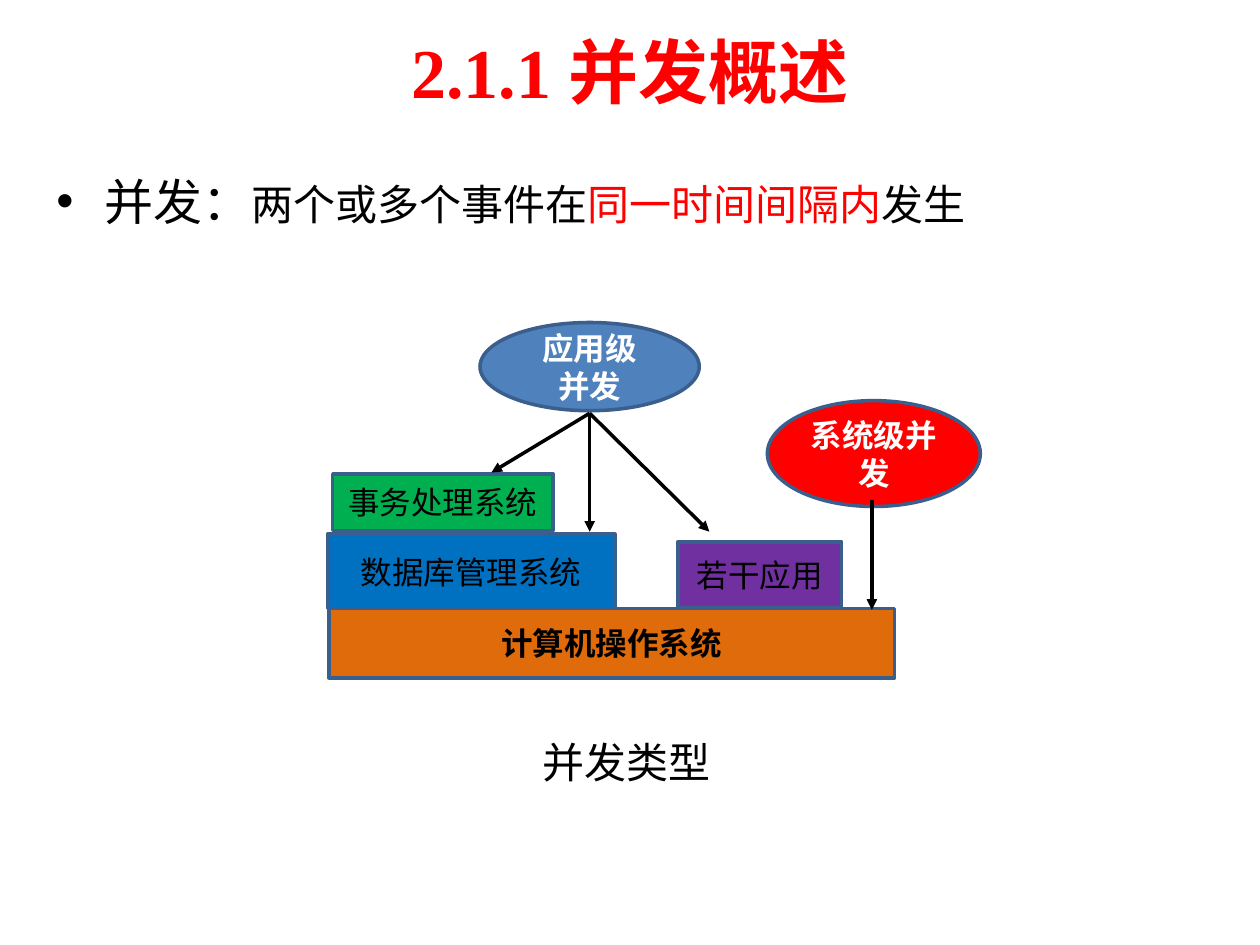
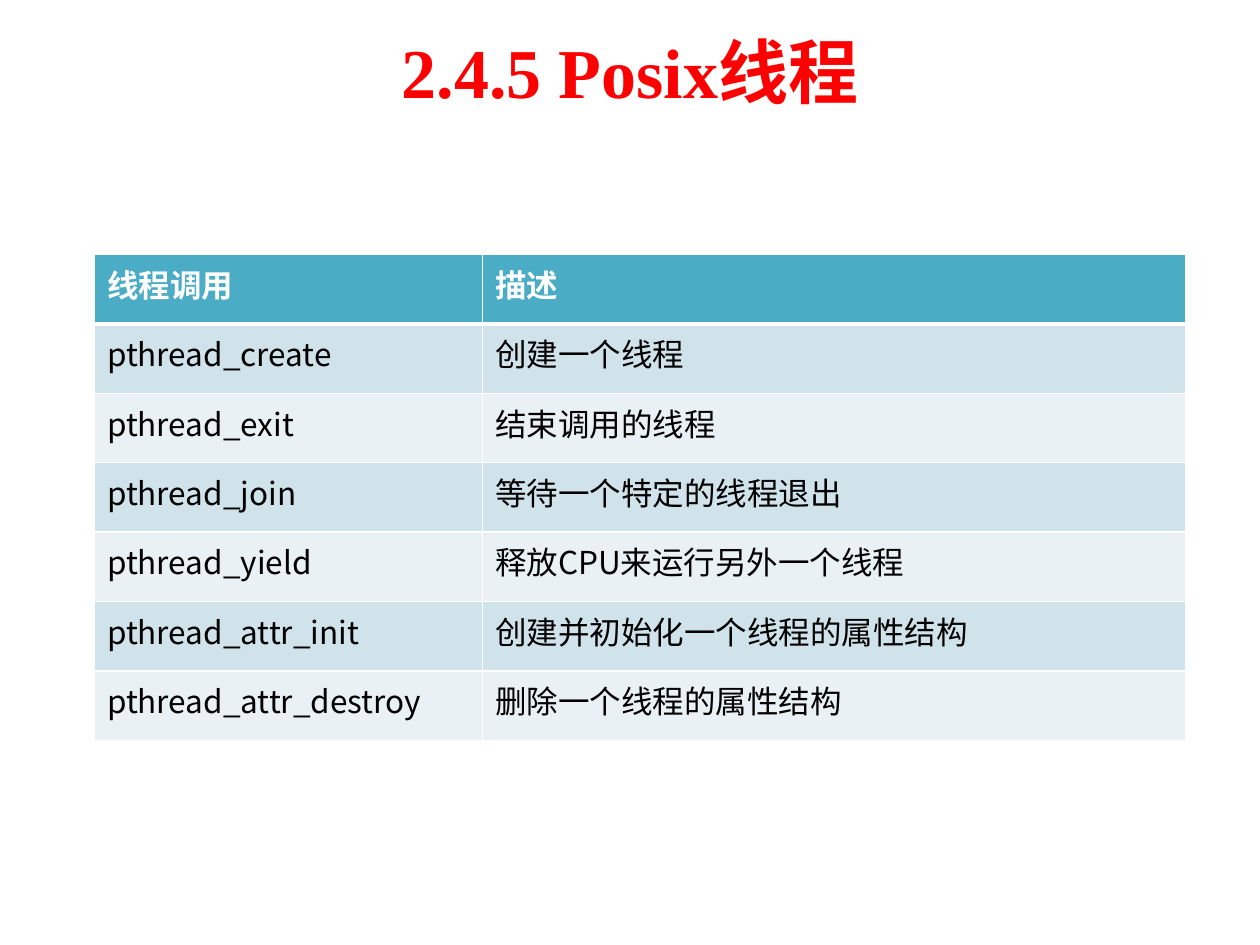
from dataclasses import dataclass

from lxml import etree
from pptx import Presentation
from pptx.dml.color import RGBColor
from pptx.enum.shapes import MSO_CONNECTOR, MSO_SHAPE
from pptx.enum.text import MSO_ANCHOR, PP_ALIGN
from pptx.oxml.ns import qn
from pptx.util import Inches, Pt

STRAIGHT = MSO_CONNECTOR.STRAIGHT
RECTANGLE, ELLIPSE = MSO_SHAPE.RECTANGLE, MSO_SHAPE.OVAL
LEFT, CENTER = PP_ALIGN.LEFT, PP_ALIGN.CENTER
TOP, MIDDLE = MSO_ANCHOR.TOP, MSO_ANCHOR.MIDDLE
COLUMNS, ROWS = 100, 75
BLANK_LAYOUT = 6


@dataclass(frozen=True)
class Theme:
    """Colours, fonts and type sizes shared by the slides."""
    black: str = "000000"
    white: str = "FFFFFF"
    title_red: str = "FF0000"
    accent_red: str = "FE0000"
    outline: str = "3A5F8C"
    green: str = "00B050"
    blue: str = "0070C0"
    purple: str = "7030A0"
    orange: str = "E06B0A"
    steel: str = "4F81BD"
    header: str = "4BACC6"
    bands: tuple = ("D0E3EA", "E9F1F5")
    serif: str = "Times New Roman"
    sans: str = "Noto Sans CJK SC"
    label: str = "Calibri"
    caption: str = "Arial"
    title_size: int = 40
    lead_size: int = 28
    body_size: int = 24
    label_size: int = 18
    line_width: int = 2


def add_text(paragraph, text, *, size, font, color, bold=False):
    """Append one formatted run to a paragraph."""
    run = paragraph.add_run()
    run.text = text
    run.font.size = Pt(size)
    run.font.bold = bold
    run.font.color.rgb = RGBColor.from_string(color)
    run.font.name = font
    east_asian = etree.SubElement(run.font._element, qn("a:ea"))
    east_asian.set("typeface", Theme.sans)


class Deck:
    """Draws styled elements on the current slide."""

    def __init__(self, theme):
        """Start an empty presentation."""
        self.theme = theme
        self.presentation = Presentation()
        self.presentation.slide_width = Inches(10)
        self.presentation.slide_height = Inches(7.5)
        self.column = self.presentation.slide_width / COLUMNS
        self.row = self.presentation.slide_height / ROWS

    def place(self, *values):
        """Turn alternating columns and rows into lengths."""
        units = (self.column, self.row)
        return [round(value * units[index % 2]) for index, value in enumerate(values)]

    def start_slide(self, title):
        """Open a blank slide with its title."""
        layout = self.presentation.slide_layouts[BLANK_LAYOUT]
        self.slide = self.presentation.slides.add_slide(layout)
        self.shapes = self.slide.shapes
        theme = self.theme
        self.text_box((5, 0.5, 90, 10.2), [(title, {
            "size": theme.title_size, "font": theme.serif,
            "color": theme.title_red, "bold": True})], CENTER, MIDDLE)

    def start_group(self):
        """Send the next elements into a new group."""
        self.shapes = self.slide.shapes.add_group_shape().shapes

    def end_group(self):
        """Send the next elements straight to the slide."""
        self.shapes = self.slide.shapes

    def text_box(self, box, runs, alignment=LEFT, anchor=TOP):
        """Add a wrapped one-paragraph text box and return the paragraph."""
        frame = self.shapes.add_textbox(*self.place(*box)).text_frame
        frame.word_wrap = True
        frame.vertical_anchor = anchor
        paragraph = frame.paragraphs[0]
        paragraph.alignment = alignment
        for text, style in runs:
            add_text(paragraph, text, **style)
        return paragraph

    def bullet(self, box, runs):
        """Add a text box with one bulleted paragraph."""
        properties = self.text_box(box, runs)._p.get_or_add_pPr()
        indent = Inches(0.38)
        properties.set("marL", str(indent))
        properties.set("indent", str(-indent))
        etree.SubElement(properties, qn("a:buFont")).set("typeface", self.theme.caption)
        etree.SubElement(properties, qn("a:buChar")).set("char", "•")

    def block(self, kind, box, lines, fill, **style):
        """Add an outlined shape with centred lines of text."""
        theme = self.theme
        shape = self.shapes.add_shape(kind, *self.place(*box))
        shape.shadow.inherit = False
        shape.fill.solid()
        shape.fill.fore_color.rgb = RGBColor.from_string(fill)
        shape.line.color.rgb = RGBColor.from_string(theme.outline)
        shape.line.width = Pt(theme.line_width)
        frame = shape.text_frame
        frame.word_wrap = True
        frame.vertical_anchor = MIDDLE
        frame.margin_left = frame.margin_right = Inches(0.05)
        for index, line in enumerate(lines):
            paragraph = frame.add_paragraph() if index else frame.paragraphs[0]
            paragraph.alignment = CENTER
            add_text(paragraph, line, size=theme.label_size, **style)

    def arrow(self, start, end):
        """Add a straight arrow between two grid points."""
        connector = self.shapes.add_connector(STRAIGHT, *self.place(*start, *end))
        connector.line.color.rgb = RGBColor.from_string(self.theme.black)
        connector.line.width = Pt(self.theme.line_width)
        line = connector.line._get_or_add_ln()
        etree.SubElement(line, qn("a:tailEnd")).set("type", "triangle")
        etree.SubElement(connector._element.spPr, qn("a:effectLst"))

    def border(self, cell, side, width):
        """Draw one white side of a table cell."""
        line = etree.SubElement(cell._tc.get_or_add_tcPr(), qn(f"a:ln{side}"))
        line.set("w", str(Pt(width)))
        fill = etree.SubElement(line, qn("a:solidFill"))
        etree.SubElement(fill, qn("a:srgbClr")).set("val", self.theme.white)

    def table(self, corner, widths, row_height, records):
        """Add a banded table whose first record is the header."""
        theme = self.theme
        box = self.place(*corner, sum(widths), row_height * len(records))
        table = self.shapes.add_table(len(records), len(widths), *box).table
        for column, width in zip(table.columns, widths):
            column.width = round(width * self.column)
        for row_index, record in enumerate(records):
            table.rows[row_index].height = round(row_height * self.row)
            is_header = row_index == 0
            fill = theme.header if is_header else theme.bands[(row_index - 1) % 2]
            sides = {"L": 1, "R": 1, "T": 3 if row_index == 1 else 1,
                     "B": 3 if is_header else 1}
            for column_index, text in enumerate(record):
                cell = table.cell(row_index, column_index)
                for side, width in sides.items():
                    self.border(cell, side, width)
                cell.fill.solid()
                cell.fill.fore_color.rgb = RGBColor.from_string(fill)
                add_text(cell.text_frame.paragraphs[0], text, size=theme.label_size,
                         font=theme.sans, bold=is_header,
                         color=theme.white if is_header else theme.black)


def build_overview(deck):
    """Build the slide on kinds of concurrency."""
    theme = deck.theme
    deck.start_slide("2.1.1 并发概述")
    body = {"size": theme.body_size, "font": theme.sans, "color": theme.black}
    deck.bullet((3.5, 13.1, 90, 49.5), [
        ("并发：", {**body, "size": theme.lead_size, "font": theme.serif}),
        ("两个或多个事件在", body),
        ("同一时间间隔内", {**body, "color": theme.accent_red}),
        ("发生", body)])

    deck.start_group()
    plain = {"font": theme.label, "color": theme.black}
    strong = {"font": theme.sans, "color": theme.black, "bold": True}
    light = {**strong, "color": theme.white}
    for kind, box, lines, fill, style in (
            (RECTANGLE, (26.4, 37.6, 17.5, 4.5), ["事务处理系统"], theme.green, plain),
            (RECTANGLE, (26, 42.4, 22.8, 5.9), ["数据库管理系统"], theme.blue, plain),
            (RECTANGLE, (53.8, 43, 13, 5.2), ["若干应用"], theme.purple, plain),
            (RECTANGLE, (26.1, 48.3, 44.9, 5.5), ["计算机操作系统"], theme.orange, strong),
            (ELLIPSE, (38.1, 25.6, 17.4, 7), ["应用级", "并发"], theme.steel, light),
            (ELLIPSE, (60.9, 31.8, 16.9, 8.4), ["系统级并发"], theme.title_red, light)):
        deck.block(kind, box, lines, fill, **style)
    application_level = (46.8, 32.8)
    for target in ((39, 37.5), (46.8, 42.2), (56.3, 42.2)):
        deck.arrow(application_level, target)
    deck.arrow((69.2, 39.7), (69.2, 48.4))
    deck.end_group()

    deck.text_box((42.1, 58, 17.4, 5), [("并发类型", {**body, "font": theme.caption})])


def build_threads(deck):
    """Build the slide listing thread calls."""
    deck.start_slide("2.4.5 Posix线程")
    deck.table((7.5, 20.2), (30.8, 55.8), 5.51, (
        ("线程调用", "描述"),
        ("pthread_create", "创建一个线程"),
        ("pthread_exit", "结束调用的线程"),
        ("pthread_join", "等待一个特定的线程退出"),
        ("pthread_yield", "释放CPU来运行另外一个线程"),
        ("pthread_attr_init", "创建并初始化一个线程的属性结构"),
        ("pthread_attr_destroy", "删除一个线程的属性结构")))


def main():
    """Build and save the presentation."""
    deck = Deck(Theme())
    build_overview(deck)
    build_threads(deck)
    deck.presentation.save("out.pptx")


if __name__ == "__main__":
    main()
